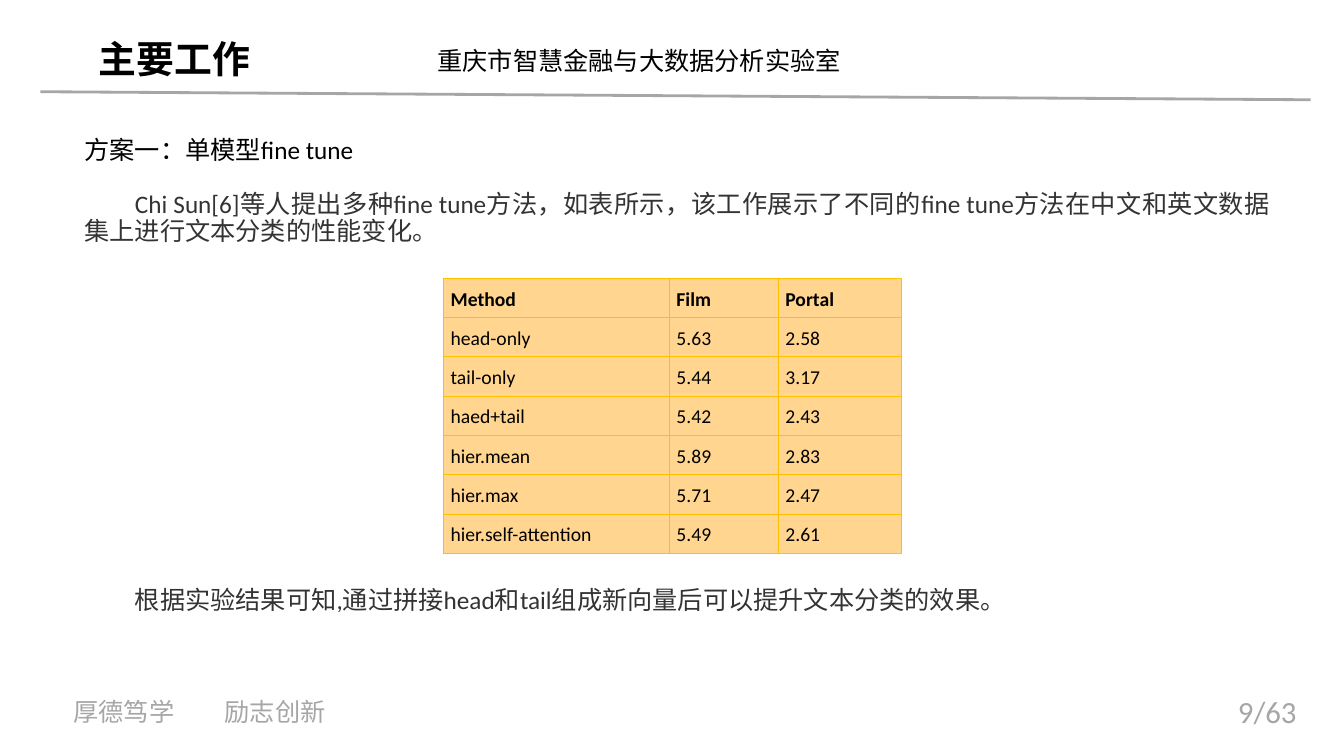
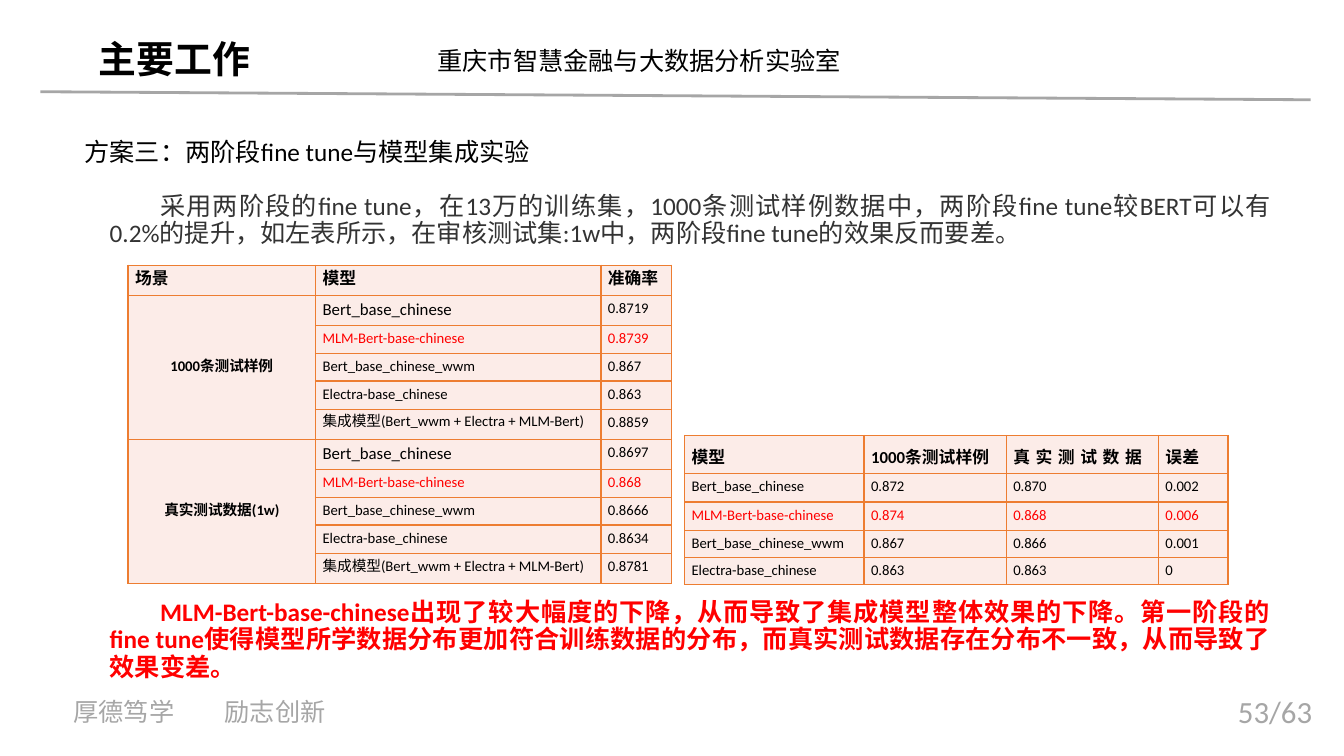
from dataclasses import dataclass

from lxml.etree import SubElement
from pptx import Presentation
from pptx.dml.color import RGBColor
from pptx.enum.shapes import MSO_CONNECTOR
from pptx.enum.text import MSO_ANCHOR, PP_ALIGN
from pptx.oxml.ns import qn
from pptx.util import Inches, Pt

BLACK = RGBColor(0x00, 0x00, 0x00)
DARK = RGBColor(0x33, 0x33, 0x33)
GRAY = RGBColor(0xA6, 0xA6, 0xA6)
RED = RGBColor(0xFF, 0x00, 0x00)
GOLD = RGBColor(0xFF, 0xC0, 0x00)
LIGHT_GOLD = RGBColor(0xFF, 0xD5, 0x90)
ORANGE = RGBColor(0xED, 0x7D, 0x31)
PALE_ORANGE = RGBColor(0xFC, 0xEC, 0xE8)

LATIN = "Calibri"
CJK = "Noto Sans CJK SC"
BODY_PITCH = 19.4
TOTAL_PAGES = 63
WEAK_MODEL = "MLM-Bert-base-chinese"
BASE_MODEL = "Bert_base_chinese"
ENSEMBLE = "集成模型(Bert_wwm + Electra + MLM-Bert)"
MODELS = (BASE_MODEL, WEAK_MODEL, "Bert_base_chinese_wwm", "Electra-base_chinese")


@dataclass(frozen=True)
class Style:
    size: float = 18
    color: RGBColor = BLACK
    bold: bool = False
    latin: str = LATIN
    spacing: int = 0  # hundredths of a point


@dataclass(frozen=True)
class Para:
    text: str
    style: Style
    align: PP_ALIGN = PP_ALIGN.LEFT
    pitch: float = 0
    before: float = 0
    margin: float = 0
    indent: float = 0
    tab: float = 0


@dataclass(frozen=True)
class TableSpec:
    left: float
    top: float
    cols: tuple[float, ...]
    heights: tuple[float, ...]
    rows: list[tuple[str, ...]]
    fill: RGBColor
    border: RGBColor
    border_pt: float
    head_size: float
    body_size: float
    head_pitch: float = 0
    body_pitch: float = 0
    large: tuple[str, ...] = ()
    spread: tuple[str, ...] = ()
    group: int = 0  # body rows merged in the first column


HEADING = Style()
BODY = Style(color=DARK)
WARNING = Style(color=RED, bold=True)


def add_para(tf, para: Para, first: bool) -> None:
    p = tf.paragraphs[0] if first else tf.add_paragraph()
    p.alignment = para.align
    if para.pitch:
        p.line_spacing = Pt(para.pitch)
    p.space_before = Pt(para.before)
    pPr = p._p.get_or_add_pPr()
    pPr.set("marL", str(Inches(para.margin)))
    pPr.set("indent", str(Inches(para.indent)))
    if para.tab:
        tabs = SubElement(pPr, qn("a:tabLst"))
        SubElement(tabs, qn("a:tab"), pos=str(Inches(para.tab)), algn="l")
    r = p.add_run()
    r.text = para.text
    style = para.style
    r.font.size = Pt(style.size)
    r.font.bold = style.bold
    r.font.color.rgb = style.color
    r.font.name = style.latin
    rPr = r._r.get_or_add_rPr()
    SubElement(rPr, qn("a:ea"), typeface=CJK)
    if style.spacing:
        rPr.set("spc", str(style.spacing))


def add_text(s, left: float, top: float, width: float, height: float,
             *paras: Para, wrap: bool = True) -> None:
    tf = s.shapes.add_textbox(
        Inches(left), Inches(top), Inches(width), Inches(height)).text_frame
    tf.word_wrap = wrap
    for i, para in enumerate(paras):
        add_para(tf, para, first=i == 0)


def body_para(text: str, style: Style, margin: float = 0, indent: float = 0.5,
              before: float = 0) -> Para:
    return Para(text, style, PP_ALIGN.JUSTIFY, BODY_PITCH, before, margin, indent)


def add_frame(prs, page: int):
    """Add a blank slide with the shared header, rule and footer."""
    s = prs.slides.add_slide(prs.slide_layouts[6])
    add_text(s, 0.88, 0.31, 1.72, 0.56,
             Para("主要工作", Style(27, bold=True, latin=CJK)), wrap=False)
    add_text(s, 4.24, 0.4, 4.29, 0.4, Para("重庆市智慧金融与大数据分析实验室", HEADING))
    rule = s.shapes.add_connector(
        MSO_CONNECTOR.STRAIGHT, Inches(0.4), Inches(0.91), Inches(13), Inches(0.99))
    rule.line.color.rgb = GRAY
    rule.line.width = Pt(2)
    SubElement(rule._element.spPr, qn("a:effectLst"))
    add_text(s, 0.63, 6.86, 2.99, 0.4,
             Para("厚德笃学\t励志创新", Style(color=GRAY), tab=1.22))
    add_text(s, 12.18, 6.82, 1.15, 0.47,
             Para(f"{page}/{TOTAL_PAGES}", Style(22, GRAY)))
    return s


def add_borders(cell, color: RGBColor, width: float) -> None:
    tcPr = cell._tc.get_or_add_tcPr()
    for side in ("lnL", "lnR", "lnT", "lnB"):
        ln = SubElement(tcPr, qn(f"a:{side}"), w=str(Pt(width)))
        SubElement(SubElement(ln, qn("a:solidFill")), qn("a:srgbClr"), val=str(color))


def cell_para(spec: TableSpec, row: int, col: int) -> Para:
    text = spec.rows[row][col]
    head = row == 0
    grouped = bool(spec.group) and col == 0 and not head
    size = spec.head_size if head or text in spec.large else spec.body_size
    color = RED if WEAK_MODEL in spec.rows[row] and not grouped else BLACK
    style = Style(size, color, bold=head or grouped,
                  spacing=400 if text in spec.spread else 0)
    pitch = (spec.head_pitch if head else spec.body_pitch) or size * 1.15
    return Para(text, style, PP_ALIGN.CENTER if grouped else PP_ALIGN.LEFT, pitch)


def add_data_table(s, spec: TableSpec) -> None:
    table = s.shapes.add_table(
        len(spec.rows), len(spec.cols), Inches(spec.left), Inches(spec.top),
        Inches(sum(spec.cols)), Inches(sum(spec.heights))).table
    table.first_row = table.horz_banding = False
    for column, width in zip(table.columns, spec.cols):
        column.width = Inches(width)
    for i, height in enumerate(spec.heights):
        table.rows[i].height = Inches(height)
        for j in range(len(spec.cols)):
            cell = table.cell(i, j)
            cell.margin_left = cell.margin_right = Inches(0.07)
            cell.margin_top = cell.margin_bottom = Inches(0.05)
            add_borders(cell, spec.border, spec.border_pt)
            cell.fill.solid()
            cell.fill.fore_color.rgb = spec.fill
            if spec.rows[i][j]:
                add_para(cell.text_frame, cell_para(spec, i, j), first=True)
    if spec.group:
        for start in range(1, len(spec.rows), spec.group):
            origin = table.cell(start, 0)
            origin.merge(table.cell(start + spec.group - 1, 0))
            origin.vertical_anchor = MSO_ANCHOR.MIDDLE


def scene_rows(scene: str, *scores: str) -> list[tuple[str, ...]]:
    names = (*MODELS, ENSEMBLE)
    return [(scene if i == 0 else "", name, score)
            for i, (name, score) in enumerate(zip(names, scores))]


METHODS = TableSpec(
    4.4, 2.76, (2.24, 1.08, 1.22), (0.39,) * 7,
    [("Method", "Film", "Portal"),
     ("head-only", "5.63", "2.58"),
     ("tail-only", "5.44", "3.17"),
     ("haed+tail", "5.42", "2.43"),
     ("hier.mean", "5.89", "2.83"),
     ("hier.max", "5.71", "2.47"),
     ("hier.self-attention", "5.49", "2.61")],
    LIGHT_GOLD, GOLD, 0.5, 14, 14, head_pitch=20, body_pitch=20)

SCENES = TableSpec(
    1.27, 2.63, (1.86, 2.83, 0.7), (0.3,) + (0.3, 0.28, 0.27, 0.28, 0.3) * 2,
    [("场景", "模型", "准确率"),
     *scene_rows("1000条测试样例", "0.8719", "0.8739", "0.867", "0.863", "0.8859"),
     *scene_rows("真实测试数据(1w)", "0.8697", "0.868", "0.8666", "0.8634", "0.8781")],
    PALE_ORANGE, ORANGE, 1, 12, 10.5, large=(BASE_MODEL,), group=5)

ERRORS = TableSpec(
    6.79, 4.32, (1.78, 1.41, 1.51, 0.69), (0.38, 0.28, 0.28, 0.27, 0.27),
    [("模型", "1000条测试样例", "真实测试数据", "误差"),
     *zip(MODELS,
          ("0.872", "0.874", "0.867", "0.863"),
          ("0.870", "0.868", "0.866", "0.863"),
          ("0.002", "0.006", "0.001", "0"))],
    PALE_ORANGE, ORANGE, 1, 12, 10.5, head_pitch=20, spread=("真实测试数据",))


def add_single_model_slide(prs) -> None:
    s = add_frame(prs, 9)
    add_text(s, 0.74, 1.31, 11.95, 1.2,
             body_para("方案一：单模型fine tune", HEADING, indent=0),
             body_para("Chi Sun[6]等人提出多种fine tune方法，如表所示，该工作展示了不同的"
                       "fine tune方法在中文和英文数据集上进行文本分类的性能变化。",
                       BODY, before=BODY_PITCH))
    add_data_table(s, METHODS)
    add_text(s, 0.74, 5.78, 11.95, 0.4,
             body_para("根据实验结果可知,通过拼接head和tail组成新向量后可以提升文本分类的效果。",
                       BODY))


def add_two_stage_slide(prs) -> None:
    s = add_frame(prs, 53)
    add_text(s, 0.74, 1.33, 11.96, 1.2,
             body_para("方案三：两阶段fine tune与模型集成实验", HEADING, indent=0),
             body_para("采用两阶段的fine tune，在13万的训练集，1000条测试样例数据中，"
                       "两阶段fine tune较BERT可以有0.2%的提升，如左表所示，"
                       "在审核测试集:1w中，两阶段fine tune的效果反而要差。",
                       BODY, margin=0.25, before=BODY_PITCH))
    add_data_table(s, SCENES)
    add_data_table(s, ERRORS)
    add_text(s, 0.74, 5.9, 11.96, 0.9,
             body_para("MLM-Bert-base-chinese出现了较大幅度的下降，从而导致了集成模型整体效果的下降。"
                       "第一阶段的fine tune使得模型所学数据分布更加符合训练数据的分布，"
                       "而真实测试数据存在分布不一致，从而导致了效果变差。",
                       WARNING, margin=0.25))


def main() -> None:
    prs = Presentation()
    prs.slide_width, prs.slide_height = Inches(13.33), Inches(7.5)
    add_single_model_slide(prs)
    add_two_stage_slide(prs)
    prs.save("out.pptx")


if __name__ == "__main__":
    main()
